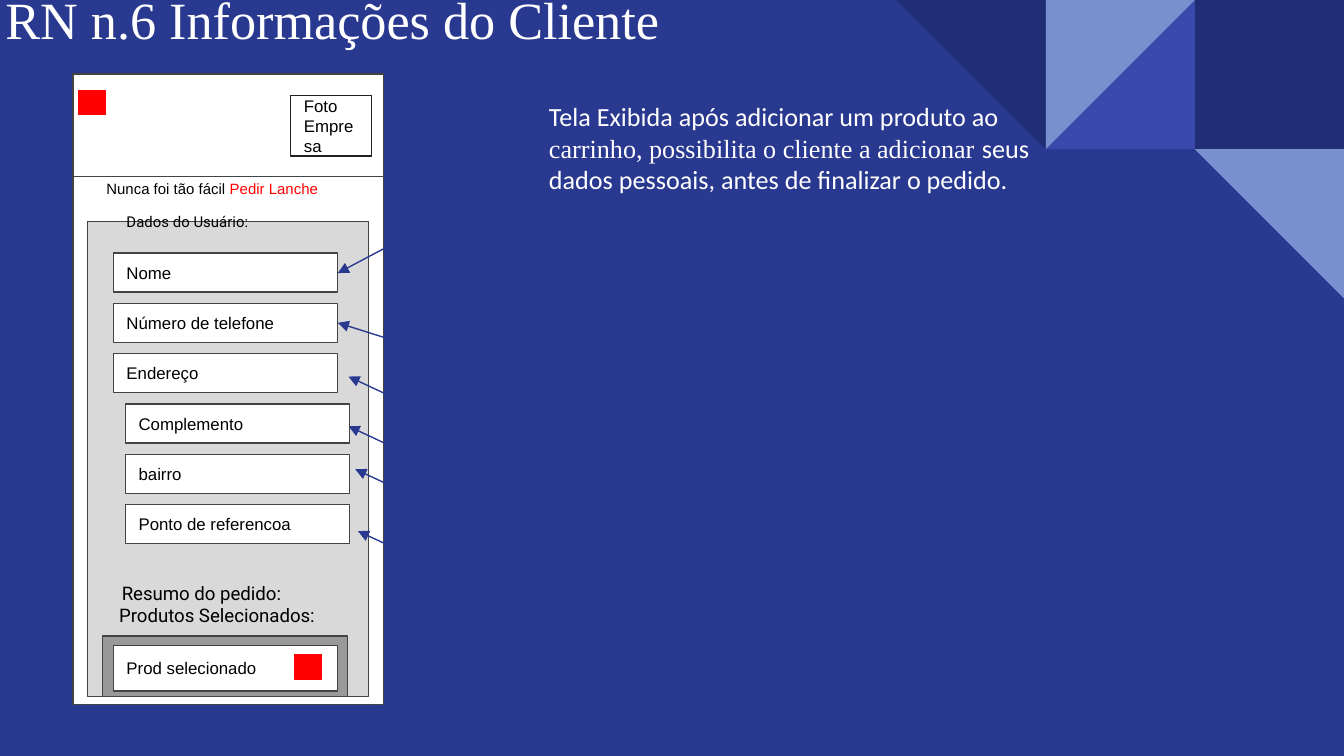
from lxml import etree
from pptx import Presentation
from pptx import util as u
from pptx.dml.color import RGBColor
from pptx.enum import shapes, text
from pptx.oxml.ns import qn

COLUMNS = 100
SLIDE_WIDTH = u.Inches(10)
SLIDE_HEIGHT = u.Emu(SLIDE_WIDTH * 9 // 16)
UNIT = SLIDE_WIDTH / COLUMNS
NAVY, WHITE, BLACK, RED, GRAPHITE = "2A3990", "FFFFFF", "000000", "FF0000", "434343"
RECT = shapes.MSO_SHAPE.RECTANGLE
CORNER = shapes.MSO_SHAPE.RIGHT_TRIANGLE


def color(hex_code):
    """Return the colour for a hex string."""
    return RGBColor.from_string(hex_code)


def grid(origin, *lengths):
    """Turn grid lengths, the first two counted from origin, into slide lengths."""
    starts = tuple(origin[:2]) + (0,) * (len(lengths) - 2)
    return [u.Emu(round((start + length) * UNIT)) for start, length in zip(starts, lengths)]


def write(shape, runs, size, inset=(0.1, 0.1), anchor=text.MSO_ANCHOR.MIDDLE):
    """Fill a shape with one left-aligned paragraph of (wording, font, colour) runs."""
    frame = shape.text_frame
    frame.word_wrap = True
    frame.vertical_anchor = anchor
    frame.margin_left = frame.margin_right = u.Inches(inset[0])
    frame.margin_top = frame.margin_bottom = u.Inches(inset[1])
    paragraph = frame.paragraphs[0]
    paragraph.alignment = text.PP_ALIGN.LEFT
    for wording, font, hex_code in runs:
        run = paragraph.add_run()
        run.text = wording
        run.font.name, run.font.size = font, u.Pt(size)
        run.font.color.rgb = color(hex_code)
    return paragraph


def block(slide, origin, box, fill, line=None, kind=RECT):
    """Add a flat filled shape in a grid box."""
    shape = slide.shapes.add_shape(kind, *grid(origin, *box))
    shape.shadow.inherit = False
    shape.fill.solid()
    shape.fill.fore_color.rgb = color(fill)
    if line:
        shape.line.color.rgb = color(line)
        shape.line.width = u.Pt(0.75)
    else:
        shape.line.fill.background()
    return shape


def stroke(slide, origin, start, end, hex_code, arrow=False):
    """Add a thin straight line, with an arrowhead at its end if asked."""
    connector = slide.shapes.add_connector(
        shapes.MSO_CONNECTOR.STRAIGHT, *grid(origin, *start), *grid(origin, *end))
    connector.line.color.rgb = color(hex_code)
    connector.line.width = u.Pt(0.75)
    if arrow:
        outline = connector.line._get_or_add_ln()
        etree.SubElement(outline, qn("a:tailEnd"), type="triangle")
    etree.SubElement(connector._element.spPr, qn("a:effectLst"))


def label(slide, origin, box, wording, size):
    """Add a plain caption on the screen."""
    caption = slide.shapes.add_textbox(*grid(origin, *box))
    write(caption, [(wording, "Roboto", BLACK)], size, anchor=text.MSO_ANCHOR.TOP)


def corner_pattern(slide, box):
    """Tile the corner with a square and turned triangles."""
    left, top, tile = box
    tiles = [(2, 0, RECT, 0, "212D74"), (1, 0, CORNER, 270, "3949AB"),
             (1, 0, CORNER, 90, "7890CD"), (0, 0, CORNER, 180, "212D74"),
             (2, 1, CORNER, 180, "7890CD")]
    for column, row, kind, turn, fill in tiles:
        piece = block(slide, (left, top), (column * tile, row * tile, tile, tile), fill, kind=kind)
        piece.rotation = turn


def heading(slide, box):
    """Write the slide title."""
    title = slide.shapes.add_textbox(*grid((0, 0), *box))
    paragraph = write(title, [("RN n.6 Informações do Cliente", "Times New Roman", WHITE)],
                      28, (0.07, 0.04))
    paragraph.line_spacing = 0.9


def description(slide, box):
    """Write the explanation of the screen."""
    body = slide.shapes.add_textbox(*grid((0, 0), *box))
    write(body, [("Tela Exibida após adicionar um produto ao ", "Calibri", WHITE),
                 ("carrinho, possibilita o cliente a adicionar ", "Times New Roman", WHITE),
                 ("seus dados pessoais, antes de finalizar o pedido.", "Calibri", WHITE)],
          14, (0.07, 0.04), text.MSO_ANCHOR.TOP)


def screen_header(slide, box):
    """Draw the top band with back button, photo and slogan."""
    photo = block(slide, box, (16.2, 1.6, 6, 4.5), WHITE, "202124")
    write(photo, [("Foto Empresa", "Arial", BLACK)], 9)
    block(slide, box, (0.42, 1.2, 2, 1.8), RED, RED)
    slogan = block(slide, box, (1.5, 7.6, 19.7, 1.8), WHITE, WHITE)
    write(slogan, [("Nunca foi tão fácil ", "Arial", BLACK), ("Pedir Lanche", "Arial", RED)], 8)
    stroke(slide, box, (0, 7.62), (box[2], 7.62), GRAPHITE)


def user_form(slide, box):
    """Draw the user fields, each with its pointing arrow."""
    label(slide, box, (3, 9.6, 14.3, 3.4), "Dados do Usuário:", 8)
    fields = [("Nome", 3, (31.4, 8.6), (19.7, 14.8)),
              ("Número de telefone", 3, (27.3, 20.9), (19.7, 18.5)),
              ("Endereço", 3, (29.5, 26.7), (20.5, 22.5)),
              ("Complemento", 3.9, (29.5, 30.4), (20.5, 26.2)),
              ("bairro", 3.9, (30.1, 33.6), (21, 29.4)),
              ("Ponto de referencoa", 3.9, (30.3, 38.2), (21.2, 34))]
    for row, (wording, left, start, tip) in enumerate(fields):
        stroke(slide, box, start, tip, NAVY, arrow=True)
        field = block(slide, box, (left, 13.32 + 3.74 * row, 16.7, 2.9), WHITE, GRAPHITE)
        write(field, [(wording, "Arial", BLACK)], 9)


def order_summary(slide, box):
    """Draw the selected products below the form."""
    label(slide, box, (2.65, 36.9, 15, 3.7), "Resumo do pedido:", 10)
    label(slide, box, (2.45, 38.6, 36, 3.7), "Produtos Selecionados:", 10)
    block(slide, box, (2.22, 41.8, 18.2, 4.5), "999999", GRAPHITE)
    product = block(slide, box, (3, 42.5, 16.7, 3.4), WHITE, GRAPHITE)
    write(product, [("Prod selecionado", "Arial", BLACK)], 9)
    block(slide, box, (16.48, 43.2, 2, 1.8), RED, RED)


def phone_screen(slide, box):
    """Draw the phone mock-up in its box."""
    block(slide, box, (0, 0, *box[2:]), WHITE, GRAPHITE)
    screen_header(slide, box)
    block(slide, box, (1.08, 10.98, 20.9, 35.35), "D9D9D9", GRAPHITE)
    user_form(slide, box)
    order_summary(slide, box)


def main():
    """Build and save the slide."""
    deck = Presentation()
    deck.slide_width, deck.slide_height = SLIDE_WIDTH, SLIDE_HEIGHT
    slide = deck.slides.add_slide(deck.slide_layouts[6])
    slide.background.fill.solid()
    slide.background.fill.fore_color.rgb = color(NAVY)
    corner_pattern(slide, (66.7, 0, 11.1))
    heading(slide, (-0.3, -2.1, 86.2, 7.6))
    description(slide, (40.15, 7.1, 41.6, 7.8))
    phone_screen(slide, (5.43, 5.52, 23.1, 46.9))
    deck.save("out.pptx")


if __name__ == "__main__":
    main()
